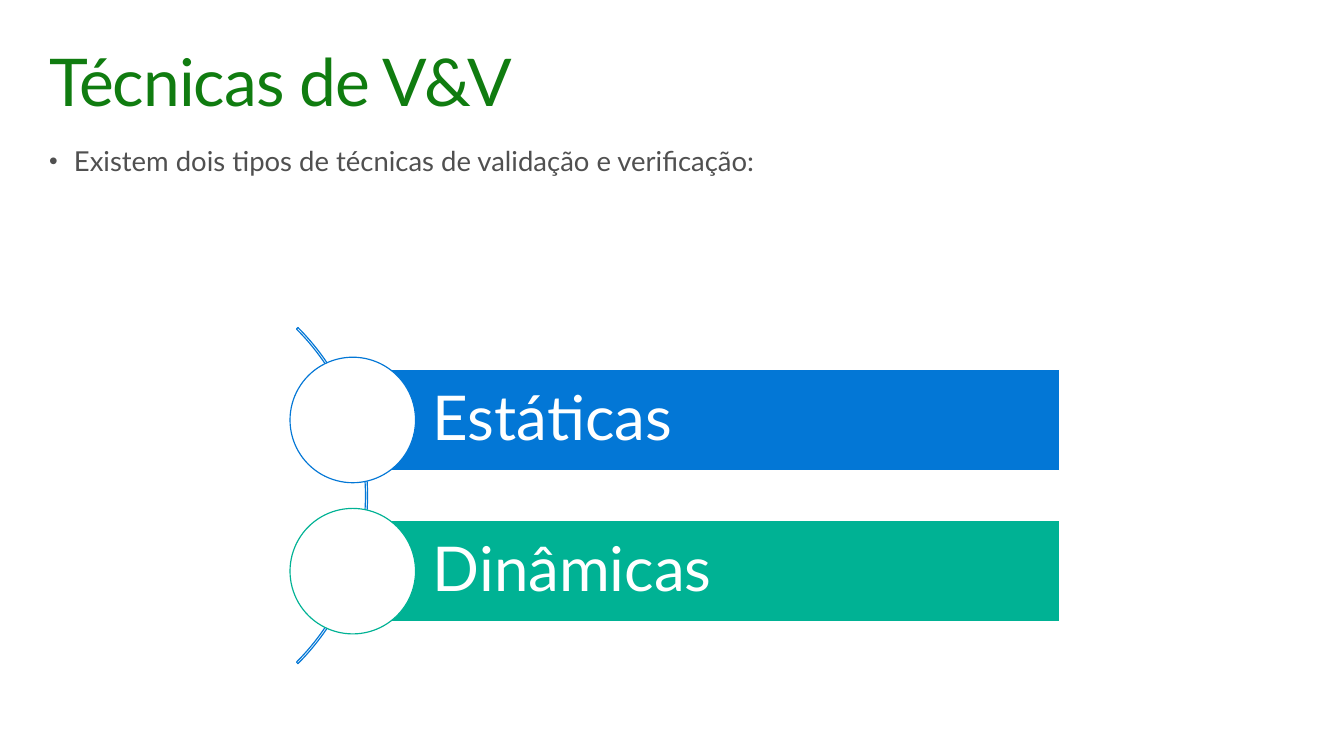
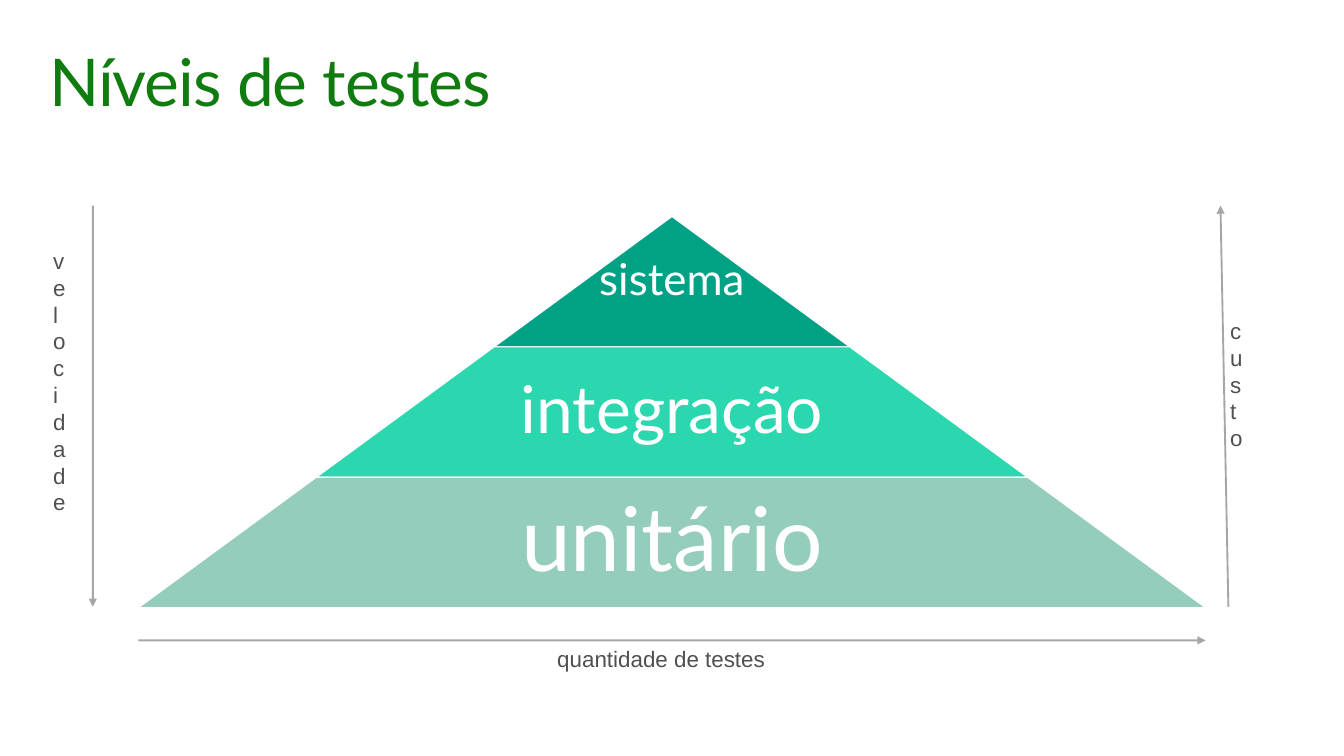
from lxml import etree
from pptx import Presentation
from pptx import util as u
from pptx.dml.color import RGBColor
from pptx.enum import shapes, text
from pptx.oxml.ns import qn

PX = 9144  # EMU per px, 100 px to the inch
GREEN, GREY, WHITE = "107C10", "505050", "FFFFFF"
BLUE, TEAL = "0377D6", "00B294"


def px(*lengths):
    return [u.Emu(round(length * PX)) for length in lengths]


def paint(color_format, color):
    color_format.rgb = RGBColor.from_string(color)


def add_child(parent, tag, **attributes):
    child = etree.SubElement(parent, qn(tag))
    for name, value in attributes.items():
        child.set(name, str(value))
    return child


def write(shape, words, size, color, font="Lato", align=text.PP_ALIGN.LEFT,
          anchor=text.MSO_ANCHOR.TOP, margins=(10, 10, 10, 10), leading=0.9,
          wrap=True, bullet=False, tracking=0):
    """Put one formatted paragraph in a shape; margins run left, top, right, bottom."""
    frame = shape.text_frame
    frame.word_wrap = wrap
    frame.vertical_anchor = anchor
    (frame.margin_left, frame.margin_top,
     frame.margin_right, frame.margin_bottom) = px(*margins)
    para = frame.paragraphs[0]
    para.alignment = align
    para.line_spacing = leading
    if bullet:
        properties = para._p.get_or_add_pPr()
        indent = px(25)[0]
        properties.set("marL", str(indent))
        properties.set("indent", str(-indent))
        add_child(properties, "a:buSzPct", val=90000)
        add_child(properties, "a:buFont", typeface="Arial")
        add_child(properties, "a:buChar", char="•")
    span = para.add_run()
    span.text = words
    span.font.size = u.Pt(size)
    span.font.name = font
    paint(span.font.color, color)
    if tracking:
        span._r.get_or_add_rPr().set("spc", str(tracking))


class Painter:
    def __init__(self, width, height):
        self.deck = Presentation()
        self.deck.slide_width, self.deck.slide_height = px(width, height)
        self.page = None

    def new_page(self, title):
        self.page = self.deck.slides.add_slide(self.deck.slide_layouts[6])
        self.textbox(40, 40, 1280, 100, title, size=48, color=GREEN, tracking=-70)

    def textbox(self, left, top, width, height, words, **style):
        box = self.page.shapes.add_textbox(*px(left, top, width, height))
        write(box, words, **style)
        return box

    def shape(self, kind, left, top, width, height, fill=None, line=WHITE):
        shape = self.page.shapes.add_shape(kind, *px(left, top, width, height))
        shape.shadow.inherit = False
        if fill:
            shape.fill.solid()
            paint(shape.fill.fore_color, fill)
        else:
            shape.fill.background()
        paint(shape.line.color, line)
        shape.line.width = u.Pt(0.85)
        return shape

    def arrow(self, start_x, start_y, end_x, end_y):
        arrow = self.page.shapes.add_connector(
            shapes.MSO_CONNECTOR.STRAIGHT, *px(start_x, start_y, end_x, end_y))
        paint(arrow.line.color, "4E4E4E")
        arrow.line.width = u.Pt(1.35)
        line = arrow.line._get_or_add_ln()
        add_child(line.find(".//" + qn("a:srgbClr")), "a:alpha", val=50000)
        add_child(line, "a:tailEnd", type="triangle")
        add_child(arrow._element.spPr, "a:effectLst")

    def axis_label(self, left, top, width, height, words, stacked=False):
        box = self.textbox(left, top, width, height, words, size=16.3, color=GREY,
                           font="Arial", margins=(10, 5, 10, 5), leading=1.0)
        box.text_frame.auto_size = text.MSO_AUTO_SIZE.SHAPE_TO_FIT_TEXT
        if stacked:
            box.text_frame._txBody.bodyPr.set("vert", "wordArtVert")


def draw_techniques(painter):
    painter.new_page("Técnicas de V&V")
    painter.textbox(40, 140, 1280, 200,
                    "Existem dois tipos de técnicas de validação e verificação:",
                    size=20, color=GREY, bullet=True)

    arc = painter.shape(shapes.MSO_SHAPE.BLOCK_ARC, -109, 261, 481, 481, line=BLUE)
    for index, value in enumerate((189, 27, 0.0045)):
        arc.adjustments[index] = value

    left, bar_height, circle = 357, 102, 127
    for index, (words, color) in enumerate((("Estáticas", BLUE), ("Dinâmicas", TEAL))):
        middle = 425 + 153 * index
        bar = painter.shape(shapes.MSO_SHAPE.RECTANGLE, left, middle - bar_height / 2,
                            715, bar_height, fill=color)
        write(bar, words, size=45, color=WHITE, anchor=text.MSO_ANCHOR.MIDDLE,
              margins=(81, 12, 12, 12))
        painter.shape(shapes.MSO_SHAPE.OVAL, left - circle / 2, middle - circle / 2,
                      circle, circle, fill=WHITE, line=color)


def draw_levels(painter):
    painter.new_page("Níveis de testes")
    center, height, slope = 680, 132, 180
    tiers = (("sistema", 32, "00A286"), ("integração", 48, "2BD7AF"),
             ("unitário", 65, "95CDBD"))
    for index, (words, size, color) in enumerate(tiers):
        width = 2 * slope * (index + 1)
        place = (center - width / 2, 219 + height * index, width, height)
        tier = painter.shape(shapes.MSO_SHAPE.TRAPEZOID, *place, fill=color)
        tier.adjustments[0] = slope / height
        painter.textbox(*place, words, size=size, color=WHITE, wrap=False,
                        align=text.PP_ALIGN.CENTER, anchor=text.MSO_ANCHOR.MIDDLE,
                        margins=(4, 4, 4, 4))

    painter.arrow(140, 648, 1220, 648)
    painter.arrow(94, 208, 94, 614)
    painter.arrow(1243, 614, 1235, 208)
    painter.axis_label(554, 648, 463, 38, "quantidade de testes")
    painter.axis_label(44, 245, 50, 490, "velocidade", stacked=True)
    painter.axis_label(1235, 316, 50, 200, "custo", stacked=True)


def main():
    painter = Painter(1360, 765)
    draw_techniques(painter)
    draw_levels(painter)
    painter.deck.save("out.pptx")


if __name__ == "__main__":
    main()
